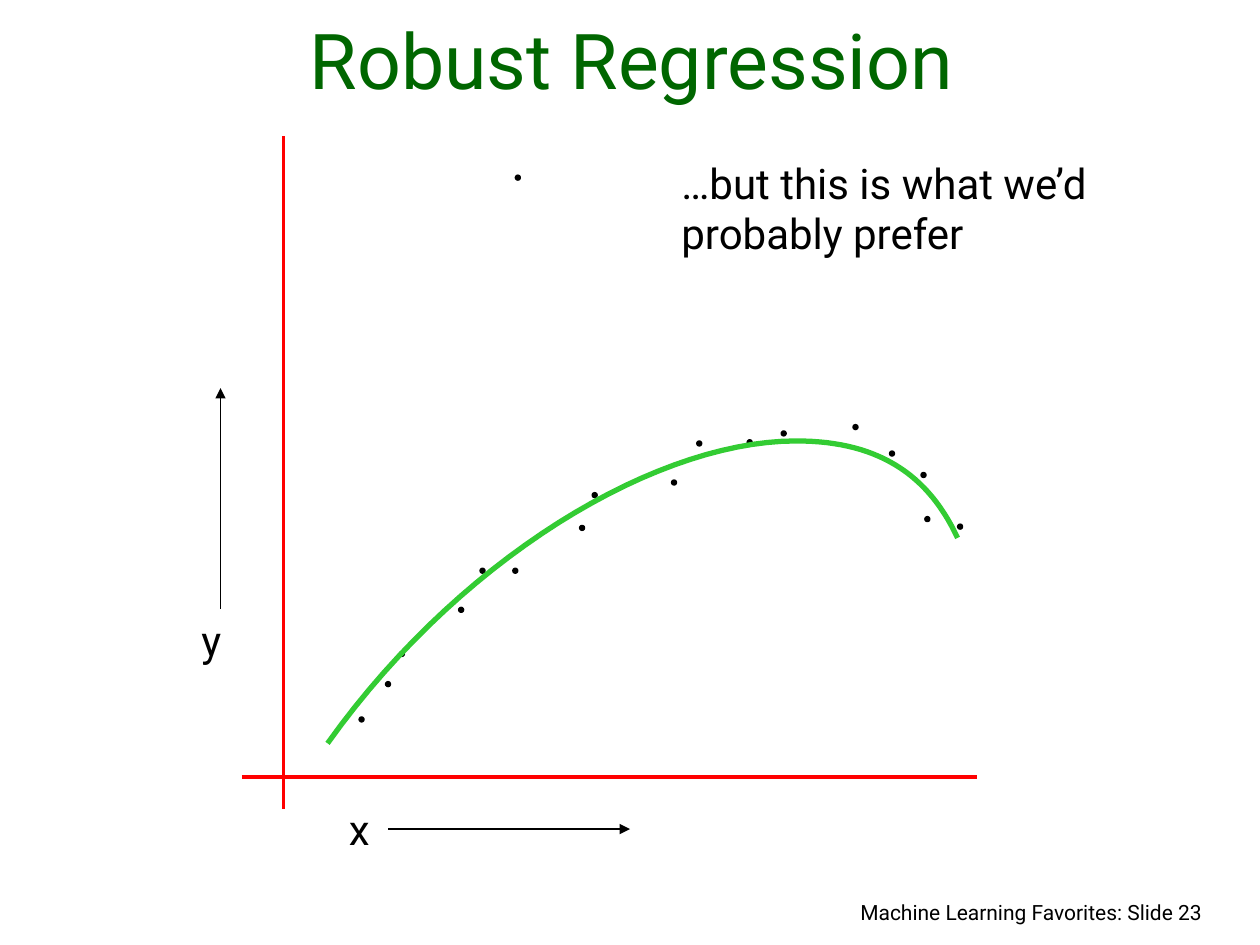
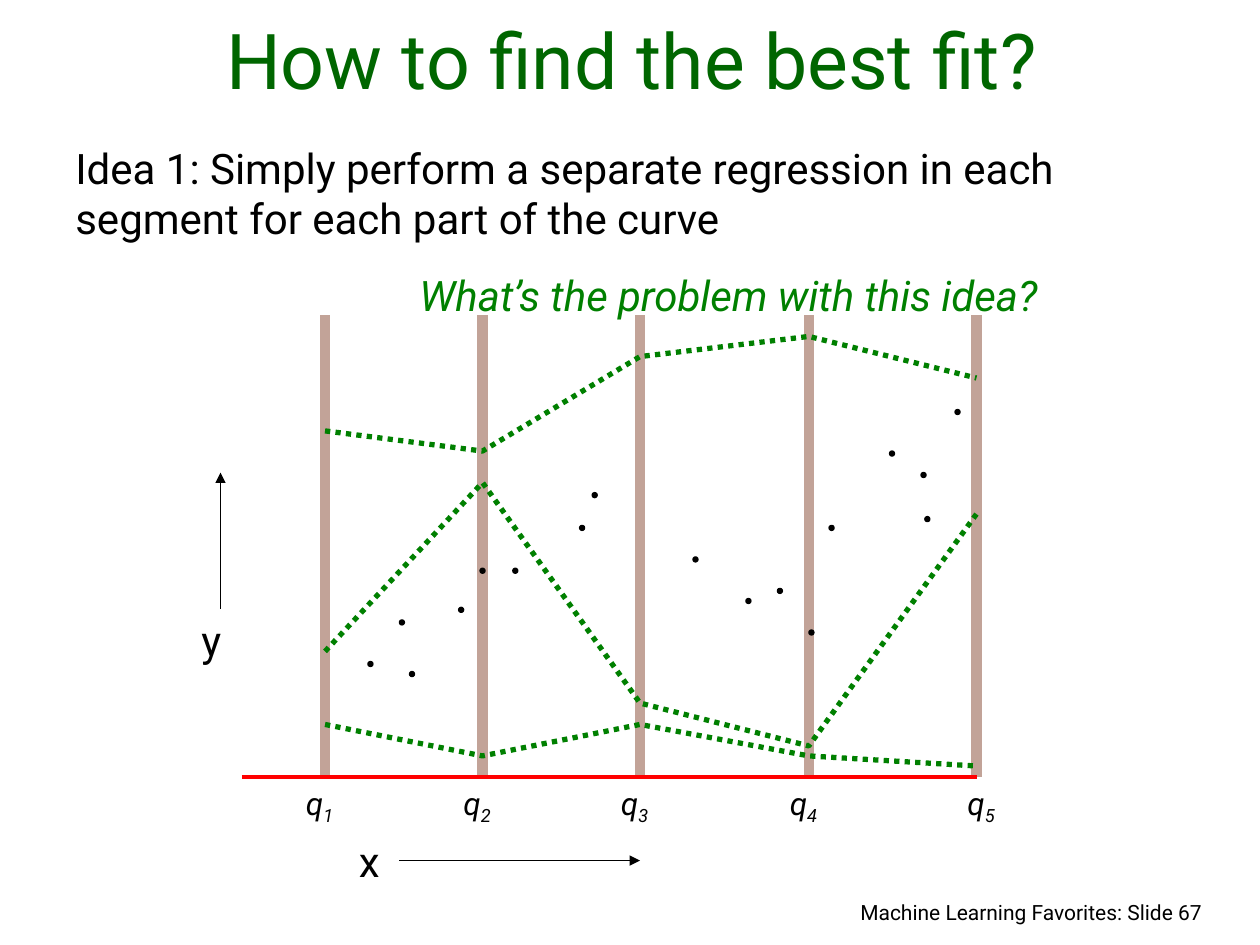
from pptx import Presentation
from pptx import util as u
from pptx.dml.color import RGBColor
from pptx.enum import dml, shapes, text
from pptx.oxml.ns import qn
from lxml import etree

FONT = "Roboto"
BLACK, TITLE_GREEN, CURVE_GREEN = "000000", "006600", "33CC33"
AXIS_RED, KNOT_BROWN, FIT_GREEN = "FF0000", "C2A398", "008000"
DOT = 0.04
AXIS_Y, AXIS_LEFT, AXIS_RIGHT = 6.17, 1.92, 7.75

# Slide content
ROBUST = {
    "title": "Robust Regression",
    "number": 23,
    "comment": "…but this is what we’d probably prefer",
    "x_label": (2.67, 6.33), "x_arrow": (3.08, 6.58, 5, 6.58),
    "y_arrow_top": 3.08,
    "points": [(7.06, 3.58), (4.6, 4.17), (3.17, 5.17), (2.85, 5.69), (3.64, 4.82),
               (4.07, 4.51), (7.6, 4.16), (5.93, 3.49), (6.77, 3.37), (5.33, 3.81),
               (7.34, 4.1), (4.09, 1.39), (3.06, 5.41), (4.7, 3.91), (3.81, 4.51),
               (5.53, 3.5), (7.31, 3.75), (6.2, 3.42)],
    # Two cubic segments that meet at the peak
    "curve": [[(7.6, 4.27), (7.36, 3.75), (6.95, 3.5), (6.32, 3.5)],
              [(6.32, 3.5), (5.2, 3.5), (3.65, 4.43), (2.6, 5.9)]],
}
BEST_FIT = {
    "title": "How to find the best fit?",
    "number": 67,
    "idea": "Idea 1: Simply perform a separate regression in each segment "
            "for each part of the curve",
    "question": "What’s the problem with this idea?",
    "x_label": (2.75, 6.58), "x_arrow": (3.17, 6.83, 5.08, 6.83),
    "y_arrow_top": 3.75,
    "points": [(7.06, 3.58), (4.6, 4.17), (3.17, 4.92), (3.25, 5.33), (3.64, 4.82),
               (4.07, 4.51), (7.58, 3.25), (6.58, 4.17), (6.42, 5), (5.5, 4.42),
               (7.34, 4.1), (2.92, 5.25), (4.7, 3.91), (3.81, 4.51), (5.92, 4.75),
               (7.31, 3.75), (6.17, 4.67)],
    # Knot position and left edge of its label
    "knots": [(2.58, 2.33), (3.83, 3.58), (5.08, 4.83), (6.42, 6.17), (7.75, 7.58)],
    # Height of each fit at every knot
    "fits": [(5.17, 3.83, 5.58, 5.92, 4.08),
             (3.42, 3.58, 2.83, 2.67, 3),
             (5.75, 6, 5.75, 6, 6.08)],
}


def rgb(color):
    return RGBColor.from_string(color)


def write(paragraph, words, size=24, color=BLACK, align=text.PP_ALIGN.LEFT,
          italic=False, subscript="", before=0, indent=0):
    if indent:
        paragraph._p.get_or_add_pPr().set("marL", str(u.Inches(indent)))
    paragraph.alignment = align
    paragraph.space_before = u.Pt(before)
    for part, baseline in ((words, 0), (subscript, -25000)):
        if not part:
            continue
        run = paragraph.add_run()
        run.text = part
        run.font.name, run.font.size = FONT, u.Pt(size)
        run.font.italic = italic
        run.font.color.rgb = rgb(color)
        if baseline:
            run._r.get_or_add_rPr().set("baseline", str(baseline))


def add_text(slide, words, left, top, width, height, **fmt):
    frame = slide.shapes.add_textbox(*map(u.Inches, (left, top, width, height))).text_frame
    frame.word_wrap = True
    write(frame.paragraphs[0], words, **fmt)
    return frame


def add_line(slide, x1, y1, x2, y2, color=BLACK, width=1, arrow=False):
    line = slide.shapes.add_connector(shapes.MSO_CONNECTOR.STRAIGHT,
                                      *map(u.Inches, (x1, y1, x2, y2)))
    line.line.color.rgb = rgb(color)
    line.line.width = u.Pt(width)
    if arrow:
        etree.SubElement(line.line._get_or_add_ln(), qn("a:tailEnd"), type="triangle")
    etree.SubElement(line._element.spPr, qn("a:effectLst"))


def add_path(slide, points, color, dash=None):
    corners = [(u.Inches(x), u.Inches(y)) for x, y in points]
    builder = slide.shapes.build_freeform(*corners[0])
    builder.add_line_segments(corners[1:], close=False)
    outline = builder.convert_to_shape()
    outline.shadow.inherit = False
    outline.fill.background()
    outline.line.color.rgb = rgb(color)
    outline.line.width = u.Pt(3)
    if dash:
        outline.line.dash_style = dash


def bezier(controls, steps=30):
    a, b, c, d = controls
    for i in range(steps + 1):
        t = i / steps
        s = 1 - t
        yield tuple(s**3 * a[k] + 3 * s * s * t * b[k] + 3 * s * t * t * c[k] + t**3 * d[k]
                    for k in (0, 1))


def add_slide(deck, content):
    """Title and footer shared by every slide."""
    slide = deck.slides.add_slide(deck.slide_layouts[5])
    title = slide.shapes.title
    title.left, title.top, title.width, title.height = map(u.Inches, (0.25, 0.17, 9.53, 0.71))
    frame = title.text_frame
    frame.auto_size = text.MSO_AUTO_SIZE.NONE
    frame.vertical_anchor = text.MSO_ANCHOR.BOTTOM
    write(frame.paragraphs[0], content["title"], size=44, color=TITLE_GREEN,
          align=text.PP_ALIGN.CENTER)
    add_text(slide, f"Machine Learning Favorites: Slide {content['number']}",
             5.72, 7.09, 3.92, 0.33, size=12, align=text.PP_ALIGN.RIGHT)
    return slide


def add_plot(slide, content):
    """Horizontal axis, axis names with arrows, and data points."""
    add_line(slide, AXIS_LEFT, AXIS_Y, AXIS_RIGHT, AXIS_Y, AXIS_RED, 2.25)
    add_text(slide, "x", *content["x_label"], 0.5, 0.5)
    add_line(slide, *content["x_arrow"], arrow=True)
    add_text(slide, "y", 1.5, 4.83, 0.5, 0.5)
    add_line(slide, 1.75, 4.83, 1.75, content["y_arrow_top"], arrow=True)
    for x, y in content["points"]:
        point = slide.shapes.add_shape(shapes.MSO_SHAPE.OVAL,
                                       *map(u.Inches, (x, y, DOT, DOT)))
        point.shadow.inherit = False
        point.fill.solid()
        point.fill.fore_color.rgb = rgb(BLACK)
        point.line.color.rgb = rgb(BLACK)
        point.line.width = u.Pt(0.75)


def build_robust(deck):
    slide = add_slide(deck, ROBUST)
    add_line(slide, 2.25, 1.08, 2.25, 6.42, AXIS_RED, 2.25)
    add_plot(slide, ROBUST)
    rising, falling = (list(bezier(part)) for part in reversed(ROBUST["curve"]))
    add_path(slide, falling + rising[1:], CURVE_GREEN)
    add_text(slide, ROBUST["comment"], 5.31, 1.2, 4.4, 0.9)


def build_best_fit(deck):
    slide = add_slide(deck, BEST_FIT)
    body = add_text(slide, BEST_FIT["idea"], 0.5, 1.08, 8.83, 1.51)
    write(body.add_paragraph(), BEST_FIT["question"], color=FIT_GREEN, italic=True,
          before=15, indent=2.73)

    # Knots stand behind the axis and the points
    for x, _ in BEST_FIT["knots"]:
        add_line(slide, x, AXIS_Y, x, 2.5, KNOT_BROWN, 6)
    add_plot(slide, BEST_FIT)
    for number, (_, label_left) in enumerate(BEST_FIT["knots"], 1):
        add_text(slide, "q", label_left, AXIS_Y, 0.5, 0.44, size=18, italic=True,
                 subscript=str(number))

    # Piecewise fits between the knots
    knot_xs = [x for x, _ in BEST_FIT["knots"]]
    for heights in BEST_FIT["fits"]:
        add_path(slide, list(zip(knot_xs, heights)), FIT_GREEN, dml.MSO_LINE.ROUND_DOT)


def main():
    deck = Presentation()
    deck.slide_width, deck.slide_height = u.Inches(10), u.Inches(7.5)
    build_robust(deck)
    build_best_fit(deck)
    deck.save("out.pptx")


if __name__ == "__main__":
    main()
